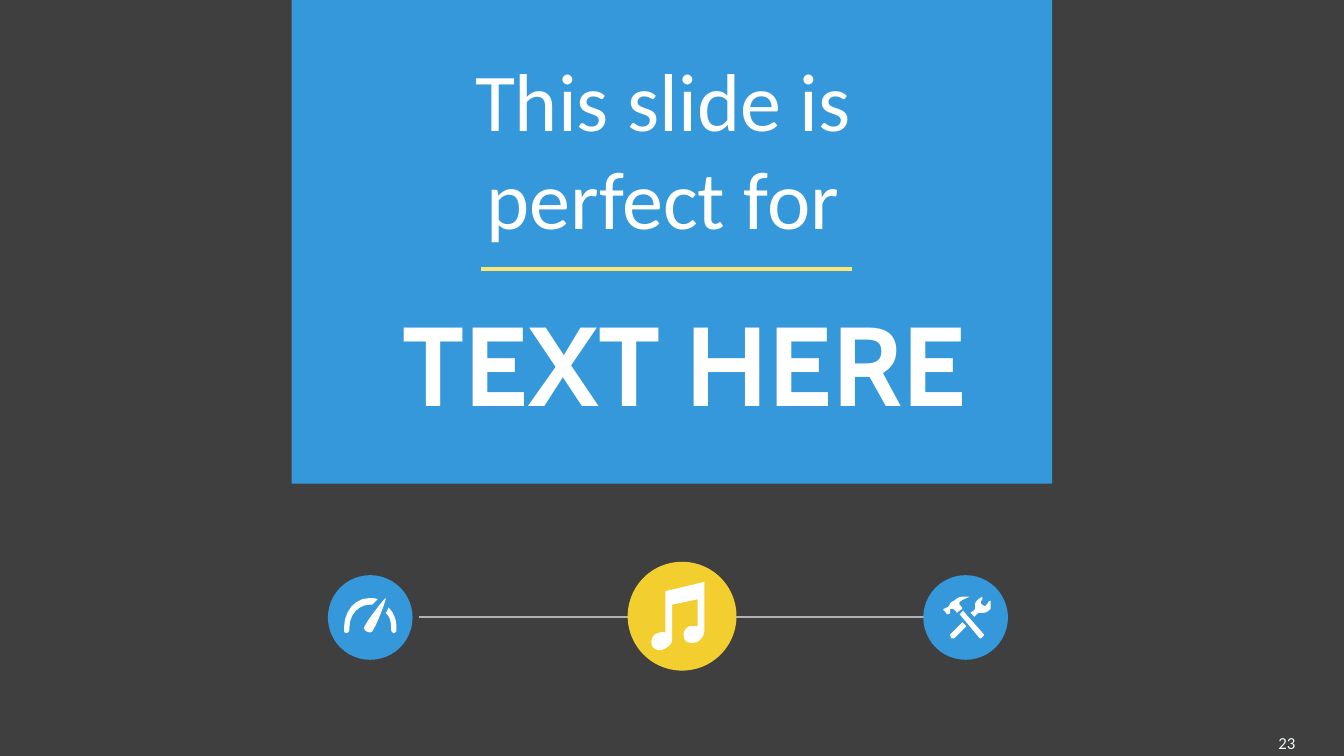
from typing import NamedTuple

from lxml.etree import SubElement
from pptx import Presentation
from pptx.dml.color import RGBColor as Rgb
from pptx.enum.shapes import MSO_CONNECTOR as Link, MSO_SHAPE as Form
from pptx.enum.text import MSO_ANCHOR as Anchor, PP_ALIGN as Align
from pptx.oxml.ns import qn
from pptx.util import Inches, Pt

COLORS = {
    "back": "3F3F3F", "blue": "3598DB", "gold": "F3CE2F", "rule": "FDE573",
    "gray": "B2B2B2", "white": "FFFFFF", "pale": "F0F6F4",
}


class Block(NamedTuple):
    form: Form
    left: float
    top: float
    width: float
    height: float
    color: str


class Rule(NamedTuple):
    start: float
    end: float
    top: float
    color: str
    weight: float


class Label(NamedTuple):
    text: str
    left: float
    top: float
    width: float
    height: float
    color: str
    font: dict
    inset: tuple = (0.1, 0.05)


# Icon outlines in hundredths of an inch: a pair is a corner, six values a curve
NOTE = [
    [(495, 440), (495, 471), (494, 470, 492, 470, 490, 471),
     (485, 472, 484, 477, 485, 480), (486, 483, 490, 485, 494, 483),
     (498, 481, 500, 479, 500, 476), (500, 450), (519, 446), (519, 466),
     (517, 466, 516, 466, 513, 466), (509, 468, 508, 471, 509, 475),
     (510, 478, 513, 479, 518, 478), (521, 477, 524, 473, 524, 470), (524, 433)],
]
GAUGE = [
    [(272, 465), (270, 467, 271, 469, 273, 470), (275, 471, 277, 471, 278, 468),
     (280, 466, 288, 445, 287, 445), (287, 444, 273, 462, 272, 465)],
    [(275, 450), (277, 450), (278, 449, 280, 447, 281, 446),
     (279, 445, 277, 445, 275, 445), (264, 445, 256, 455, 256, 467), (256, 469),
     (256, 470, 256, 471, 258, 471), (259, 471, 260, 470, 260, 468), (260, 467),
     (260, 457, 267, 450, 275, 450)],
    [(289, 452), (289, 453, 288, 455, 287, 456), (290, 459, 291, 462, 291, 467),
     (291, 468), (291, 470, 292, 471, 293, 471), (294, 471, 295, 470, 295, 469),
     (295, 467), (295, 461, 293, 456, 289, 452)],
]
TOOLS = [
    # Hammer head
    [(707, 453), (709, 453, 710, 453, 712, 456), (713, 455), (716, 453),
     (716, 452, 715, 451, 714, 450), (711, 447, 723, 444, 721, 444), (716, 444),
     (713, 444, 711, 446, 710, 447), (707, 448, 707, 449, 707, 449),
     (706, 450, 707, 450, 706, 451), (704, 453, 704, 452, 704, 452),
     (703, 453, 702, 453, 702, 453), (702, 454), (704, 456),
     (704, 457, 705, 457, 706, 457), (707, 456)],
    # Hammer handle
    [(717, 455), (717, 454, 717, 454, 716, 455), (714, 457), (729, 475),
     (730, 475), (732, 473), (732, 472)],
    # Wrench head
    [(737, 447), (736, 447), (736, 447, 735, 449, 734, 450),
     (734, 450, 733, 452, 731, 450), (729, 449, 730, 448, 730, 447),
     (731, 447, 731, 445, 731, 444), (731, 444, 727, 446, 726, 448),
     (725, 450, 726, 452, 725, 454), (722, 456), (725, 459), (728, 456),
     (728, 456, 730, 456, 731, 456), (734, 456, 735, 455, 737, 453),
     (737, 452, 737, 448, 737, 447)],
    # Wrench handle
    [(707, 472), (707, 473), (708, 475), (710, 475), (719, 466), (716, 463)],
]


def tint(name: str) -> Rgb:
    return Rgb.from_string(COLORS[name])


def paint(shape, color: str) -> None:
    shape.shadow.inherit = False
    shape.fill.solid()
    shape.fill.fore_color.rgb = tint(color)
    shape.line.fill.background()


def draw_block(shapes, block: Block) -> None:
    box = map(Inches, block[1:5])
    paint(shapes.add_shape(block.form, *box), block.color)


def draw_rule(shapes, rule: Rule) -> None:
    y = Inches(rule.top)
    line = shapes.add_connector(Link.STRAIGHT, Inches(rule.start), y, Inches(rule.end), y)
    line.line.color.rgb = tint(rule.color)
    line.line.width = Pt(rule.weight)
    SubElement(line._element.spPr, qn("a:effectLst"))


def draw_label(shapes, label: Label) -> None:
    frame = shapes.add_textbox(*map(Inches, label[1:5])).text_frame
    side, edge = map(Inches, label.inset)
    style = {"word_wrap": True, "vertical_anchor": Anchor.MIDDLE,
             "margin_left": side, "margin_right": side,
             "margin_top": edge, "margin_bottom": edge}
    for key, value in style.items():
        setattr(frame, key, value)
    para = frame.paragraphs[0]
    para.alignment = Align.CENTER
    run = para.add_run()
    run.text = label.text
    for key, value in label.font.items():
        setattr(run.font, key, value)
    run.font.color.rgb = tint(label.color)


def trace(path: list, steps: int = 6) -> list:
    """Turn corners and cubic curves into points in EMU."""
    points = [path[0]]
    for part in path[1:]:
        if len(part) == 2:
            points.append(part)
            continue
        knots = [points[-1], part[:2], part[2:4], part[4:]]
        for step in range(1, steps + 1):
            t = step / steps
            u = 1 - t
            mix = (u**3, 3 * u * u * t, 3 * u * t * t, t**3)
            points.append(tuple(sum(m * k[i] for m, k in zip(mix, knots)) for i in (0, 1)))
    return [(Inches(x / 100), Inches(y / 100)) for x, y in points]


def draw_icon(shapes, paths: list) -> None:
    first, *others = map(trace, paths)
    pen = shapes.build_freeform(*first[0], scale=1.0)
    pen.add_line_segments(first[1:], close=True)
    for points in others:
        pen.move_to(*points[0])
        pen.add_line_segments(points[1:], close=True)
    paint(pen.convert_to_shape(), "white")


def main() -> None:
    deck = Presentation()
    # Widescreen, 16 to 9
    deck.slide_width, deck.slide_height = Inches(10), Inches(10 * 9 / 16)
    slide = deck.slides.add_slide(deck.slide_layouts[6])
    slide.background.fill.solid()
    slide.background.fill.fore_color.rgb = tint("back")
    shapes = slide.shapes

    # Page number
    draw_label(shapes, Label("23", 9.18, 5.33, 0.79, 0.39, "pale",
                             {"name": "Calibri", "size": Pt(9)}, (0.07, 0.04)))

    # Lines between the circles
    for start in (3.12, 5.47):
        draw_rule(shapes, Rule(start, start + 1.55, 4.59, "gray", 0.75))

    # Title panel
    draw_block(shapes, Block(Form.RECTANGLE, 2.17, -0.03, 5.66, 3.63, "blue"))
    draw_label(shapes, Label("TEXT HERE", 2.56, 2.07, 5.06, 1.24, "white",
                             {"name": "Cabin", "size": Pt(60), "bold": True}))
    draw_rule(shapes, Rule(3.58, 6.34, 2, "rule", 2.25))
    draw_label(shapes, Label("This slide is perfect for", 2.62, 0.48, 4.63, 1.24, "white",
                             {"name": "Calibri", "size": Pt(44)}))

    # Circles with their icons
    for left, top, size, color, icon in (
        (2.44, 4.28, 0.63, "blue", GAUGE),
        (4.67, 4.18, 0.81, "gold", NOTE),
        (6.87, 4.28, 0.63, "blue", TOOLS),
    ):
        draw_block(shapes, Block(Form.OVAL, left, top, size, size, color))
        draw_icon(shapes, icon)

    deck.save("out.pptx")


if __name__ == "__main__":
    main()
